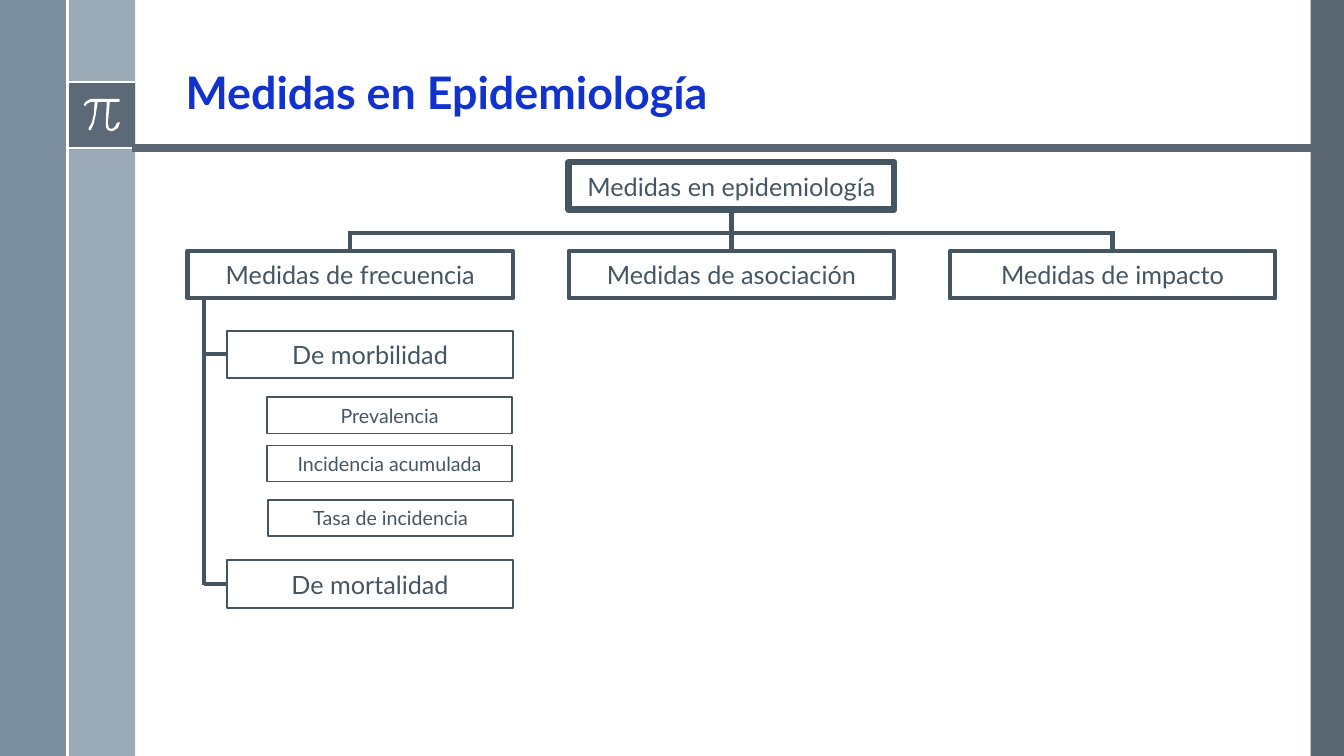
from dataclasses import dataclass
from typing import Optional

from lxml import etree
from pptx import Presentation
from pptx.dml.color import RGBColor
from pptx.enum import shapes, text
from pptx.oxml import ns
from pptx.util import Inches, Pt

SLATE, INK, WHITE = "475562", "465562", "FFFFFF"
FONT = "Lato"
BOX_HEIGHT = 0.47
COLUMN_LEFT, COLUMN_PITCH, COLUMN_WIDTH = 1.86, 3.78, 3.23
BAR_Y, SPINE_X = 2.31, 2.02


@dataclass
class Band:
    left: float
    top: float
    width: float
    height: float
    color: str
    opacity: int = 100


@dataclass
class Box:
    label: str
    left: float
    top: float
    width: float
    height: float = BOX_HEIGHT
    border: float = 3
    size: float = 18


BANDS = [
    Band(13, 0, 0.33, 7.5, SLATE, 90),
    Band(0.67, 0, 0.67, 7.5, "9BAAB7"),
    Band(0, 0, 0.67, 7.5, "6A8093", 88),
    Band(0.67, 0.81, 0.67, 0.67, SLATE, 75),
]
PI_OUTLINE = [
    (1.18, 0.98), (0.9, 0.98), (0.85, 1.01), (0.83, 1.04), (0.84, 1.05), (0.85, 1.05),
    (0.86, 1.03), (0.9, 1.01), (0.94, 1.01), (0.93, 1.14), (0.91, 1.22), (0.88, 1.27),
    (0.88, 1.29), (0.9, 1.29), (0.93, 1.23), (0.95, 1.14), (0.97, 1.01), (1.06, 1.01),
    (1.05, 1.22), (1.05, 1.26), (1.07, 1.29), (1.1, 1.3), (1.12, 1.3), (1.17, 1.27),
    (1.19, 1.22), (1.18, 1.21), (1.16, 1.22), (1.14, 1.26), (1.11, 1.28), (1.08, 1.27),
    (1.07, 1.22), (1.09, 1.01), (1.18, 1.01), (1.19, 1.0),
]


def rgb(color: str) -> RGBColor:
    return RGBColor.from_string(color)


def write(frame, content: str, *, size: float, color: str, bold: bool = False,
          align=text.PP_ALIGN.CENTER, anchor=text.MSO_ANCHOR.MIDDLE,
          spacing: Optional[float] = None) -> None:
    frame.word_wrap = True
    frame.auto_size = text.MSO_AUTO_SIZE.NONE
    frame.vertical_anchor = anchor
    paragraph = frame.paragraphs[0]
    paragraph.alignment = align
    paragraph.line_spacing = spacing
    run = paragraph.add_run()
    run.text = content
    run.font.name, run.font.size, run.font.bold = FONT, Pt(size), bold
    run.font.color.rgb = rgb(color)


def fill_plain(shape, color: str, opacity: int = 100) -> None:
    shape.shadow.inherit = False
    shape.fill.solid()
    shape.fill.fore_color.rgb = rgb(color)
    shape.line.fill.background()
    if opacity < 100:
        tint = shape.fill._xPr.find(".//" + ns.qn("a:srgbClr"))
        etree.SubElement(tint, ns.qn("a:alpha")).set("val", str(opacity * 1000))


def add_rectangle(slide, part):
    return slide.shapes.add_shape(
        shapes.MSO_SHAPE.RECTANGLE, Inches(part.left), Inches(part.top),
        Inches(part.width), Inches(part.height))


def add_band(slide, band: Band) -> None:
    fill_plain(add_rectangle(slide, band), band.color, band.opacity)


def add_box(slide, box: Box):
    shape = add_rectangle(slide, box)
    fill_plain(shape, WHITE)
    shape.line.color.rgb = rgb(INK)
    shape.line.width = Pt(box.border)
    write(shape.text_frame, box.label, size=box.size, color=INK)
    return shape


def add_line(slide, x1: float, y1: float, x2: float, y2: float,
             color: str = INK, width: float = 3):
    line = slide.shapes.add_connector(
        shapes.MSO_CONNECTOR.STRAIGHT, Inches(x1), Inches(y1), Inches(x2), Inches(y2))
    line.line.color.rgb = rgb(color)
    line.line.width = Pt(width)
    etree.SubElement(line._element.spPr, ns.qn("a:effectLst"))
    return line


def add_side_panel(slide) -> None:
    for band in BANDS:
        add_band(slide, band)
    for y in (0.81, 1.47):
        add_line(slide, 0.67, y, 1.34, y, WHITE, 1.5)
    start, *rest = [(Inches(x), Inches(y)) for x, y in PI_OUTLINE]
    builder = slide.shapes.build_freeform(*start)
    builder.add_line_segments(rest, close=True)
    fill_plain(builder.convert_to_shape(), WHITE)
    add_line(slide, 0.67, 0, 0.67, 7.5, WHITE, 1.5)


def add_title(slide) -> None:
    title = slide.shapes.title
    title.left, title.top = Inches(1.74), Inches(0.15)
    title.width, title.height = Inches(10.7), Inches(1.08)
    write(title.text_frame, "Medidas en Epidemiología", size=32, color="1232D0", bold=True,
          align=text.PP_ALIGN.LEFT, anchor=text.MSO_ANCHOR.BOTTOM, spacing=0.9)
    add_line(slide, 1.31, 1.47, 13.04, 1.47, "596671", 6)


def add_tree(slide) -> None:
    # Root and the three families of measures
    root = add_box(slide, Box("Medidas en epidemiología", COLUMN_LEFT + COLUMN_PITCH,
                              1.61, COLUMN_WIDTH, border=4.5))
    families = [
        add_box(slide, Box(f"Medidas de {name}", COLUMN_LEFT + i * COLUMN_PITCH,
                           2.49, COLUMN_WIDTH))
        for i, name in enumerate(("frecuencia", "asociación", "impacto"))]
    centers = [COLUMN_LEFT + i * COLUMN_PITCH + COLUMN_WIDTH / 2 for i in range(3)]
    trunk = add_line(slide, centers[1], 2.08, centers[1], 2.49)
    trunk.begin_connect(root, 2)
    trunk.end_connect(families[1], 0)
    add_line(slide, centers[0] - 0.02, BAR_Y, centers[2] + 0.02, BAR_Y)
    for i in (0, 2):
        drop = add_line(slide, centers[i], BAR_Y, centers[i], 2.49)
        drop.end_connect(families[i], 0)

    # Frequency measures
    add_line(slide, SPINE_X, 2.96, SPINE_X, 5.8)
    for label, top in (("De morbilidad", 3.28), ("De mortalidad", 5.56)):
        branch = add_box(slide, Box(label, 2.25, top, 2.84, border=1.5))
        middle = top + BOX_HEIGHT / 2
        add_line(slide, SPINE_X, middle, 2.25, middle).end_connect(branch, 1)

    # Morbidity measures
    for label, left, top in (("Prevalencia", 2.65, 3.94),
                             ("Incidencia acumulada", 2.65, 4.42),
                             ("Tasa de incidencia", 2.66, 4.96)):
        add_box(slide, Box(label, left, top, 2.43, 0.36, border=1, size=14))


def main() -> None:
    deck = Presentation()
    deck.slide_width, deck.slide_height = Inches(13.33), Inches(7.5)
    slide = deck.slides.add_slide(deck.slide_layouts[5])
    add_side_panel(slide)
    add_title(slide)
    add_tree(slide)
    deck.save("out.pptx")


if __name__ == "__main__":
    main()
